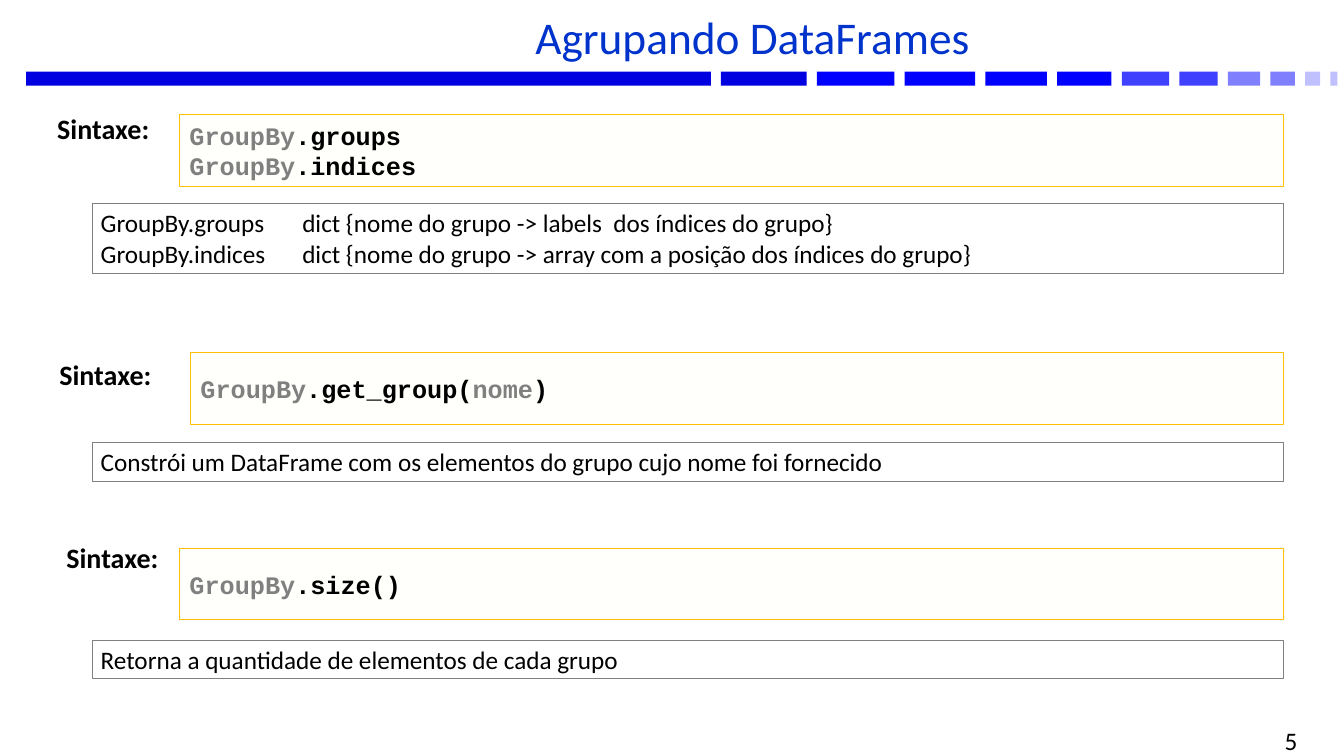
from dataclasses import dataclass

from pptx import Presentation
from pptx.dml.color import RGBColor
from pptx.enum.shapes import MSO_SHAPE as Preset
from pptx.enum.text import MSO_ANCHOR as Anchor, PP_ALIGN as Align
from pptx.util import Pt


@dataclass(frozen=True)
class Theme:
    title_color: str = "0033CC"
    text_color: str = "000000"
    muted: str = "808080"
    code_fill: str = "FFFFFB"
    code_line: str = "FFC000"
    bar_colors: tuple = ("0000E0", "0000FF", "4040FF", "8080FF", "C0C0FF")
    body_font: str = "Calibri"
    code_font: str = "Courier New"
    title_size: float = 32.4
    label_size: float = 20
    body_size: float = 18
    line_width: float = 0.75


BAR_TOP, BAR_HEIGHT, BAR_GAP, BAR_LEFT = 51.1, 10.1, 7.3, 18.7
BARS = [  # width, index of the bar color
    (489, 0), (61.2, 0), (55.4, 1), (50.4, 1), (43.9, 1), (38.9, 1),
    (33.8, 2), (27.4, 2), (23, 3), (17.5, 3), (10.8, 4), (5, 4),
]
RIGHT_EDGE = 916.6
CODE_HEIGHT = 51.1
NOTE_LEFT = 66.2
NOTE_LINE, NOTE_PADDING = 22, 5.7

# Code lines are lists of pieces; every other piece, from the first, is muted.
SECTIONS = [
    dict(label=(33.8, 76.3), code=(128.2, 82.1), note_top=145.4,
         code_lines=[["GroupBy", ".groups"], ["GroupBy", ".indices"]],
         notes=["GroupBy.groups\tdict {nome do grupo -> labels  dos índices do grupo}",
                "GroupBy.indices\tdict {nome do grupo -> array com a posição dos índices do grupo}"]),
    dict(label=(35.3, 252), code=(136.1, 252), note_top=316.1,
         code_lines=[["GroupBy", ".get_group(", "nome", ")"]],
         notes=["Constrói um DataFrame com os elementos do grupo cujo nome foi fornecido"]),
    dict(label=(40.3, 382.3), code=(128.2, 391.7), note_top=457.2,
         code_lines=[["GroupBy", ".size()"]],
         notes=["Retorna a quantidade de elementos de cada grupo"]),
]


class SlideBuilder:
    def __init__(self, slide, theme):
        self.slide = slide
        self.theme = theme

    def rectangle(self, left, top, width, height, fill=None, line=None):
        shape = self.slide.shapes.add_shape(
            Preset.RECTANGLE, Pt(left), Pt(top), Pt(width), Pt(height))
        shape.shadow.inherit = False
        if fill:
            shape.fill.solid()
            shape.fill.fore_color.rgb = RGBColor.from_string(fill)
        else:
            shape.fill.background()
        if line:
            shape.line.color.rgb = RGBColor.from_string(line)
            shape.line.width = Pt(self.theme.line_width)
        else:
            shape.line.fill.background()
        return shape

    def prepare_frame(self, shape, anchor, inset_x, inset_y):
        frame = shape.text_frame
        frame.word_wrap = True
        frame.vertical_anchor = anchor
        frame.margin_left = frame.margin_right = Pt(inset_x)
        frame.margin_top = frame.margin_bottom = Pt(inset_y)
        return frame

    def paragraphs(self, frame, count, font_name, size, color, bold=False, align=Align.LEFT):
        """Yield styled empty paragraphs, reusing the frame's first one."""
        for index in range(count):
            paragraph = frame.add_paragraph() if index else frame.paragraphs[0]
            paragraph.alignment = align
            font = paragraph.font
            font.name, font.size, font.bold = font_name, Pt(size), bold
            font.color.rgb = RGBColor.from_string(color)
            yield paragraph

    def text(self, content, left, top, width, height, size, color=None,
             bold=False, align=Align.LEFT, anchor=Anchor.MIDDLE):
        shape = self.slide.shapes.add_textbox(Pt(left), Pt(top), Pt(width), Pt(height))
        frame = self.prepare_frame(shape, anchor, 7.2, 3.6)
        [paragraph] = self.paragraphs(frame, 1, self.theme.body_font, size,
                                      color or self.theme.text_color, bold, align)
        paragraph.add_run().text = content
        return paragraph

    def title(self, content):
        paragraph = self.text(content, 133.9, 10.1, 807.1, 38.9, self.theme.title_size,
                              self.theme.title_color, align=Align.CENTER)
        paragraph.line_spacing = 0.8
        paragraph.space_before = Pt(6)

    def title_bars(self):
        left = BAR_LEFT
        for width, color in BARS:
            self.rectangle(left, BAR_TOP, width, BAR_HEIGHT, self.theme.bar_colors[color])
            left += width + BAR_GAP

    def label(self, content, left, top):
        self.text(content, left, top, 102.2, 31.7, self.theme.label_size,
                  bold=True, anchor=Anchor.TOP)

    def code(self, lines, left, top):
        theme = self.theme
        shape = self.rectangle(left, top, RIGHT_EDGE - left, CODE_HEIGHT,
                               theme.code_fill, theme.code_line)
        frame = self.prepare_frame(shape, Anchor.MIDDLE, 7.2, 0)
        styled = self.paragraphs(frame, len(lines), theme.code_font, theme.body_size,
                                 theme.text_color, bold=True)
        for paragraph, pieces in zip(styled, lines):
            for index, piece in enumerate(pieces):
                run = paragraph.add_run()
                run.text = piece
                color = theme.text_color if index % 2 else theme.muted
                run.font.color.rgb = RGBColor.from_string(color)

    def note(self, lines, top):
        theme = self.theme
        shape = self.rectangle(NOTE_LEFT, top, RIGHT_EDGE - NOTE_LEFT,
                               NOTE_LINE * len(lines) + NOTE_PADDING, line=theme.muted)
        frame = self.prepare_frame(shape, Anchor.TOP, 5.76, 2.88)
        styled = self.paragraphs(frame, len(lines), theme.body_font, theme.body_size,
                                 theme.text_color)
        for paragraph, line in zip(styled, lines):
            paragraph.add_run().text = line


def main():
    presentation = Presentation()
    presentation.slide_width, presentation.slide_height = Pt(960), Pt(540)
    slide = presentation.slides.add_slide(presentation.slide_layouts[6])
    theme = Theme()
    builder = SlideBuilder(slide, theme)
    builder.title_bars()
    builder.title("Agrupando DataFrames")
    builder.text("5", 709.9, 520.6, 223.9, 15.8, theme.body_size, align=Align.RIGHT)
    for section in SECTIONS:
        builder.code(section["code_lines"], *section["code"])
        builder.label("Sintaxe:", *section["label"])
        builder.note(section["notes"], section["note_top"])
    presentation.save("out.pptx")


if __name__ == "__main__":
    main()
